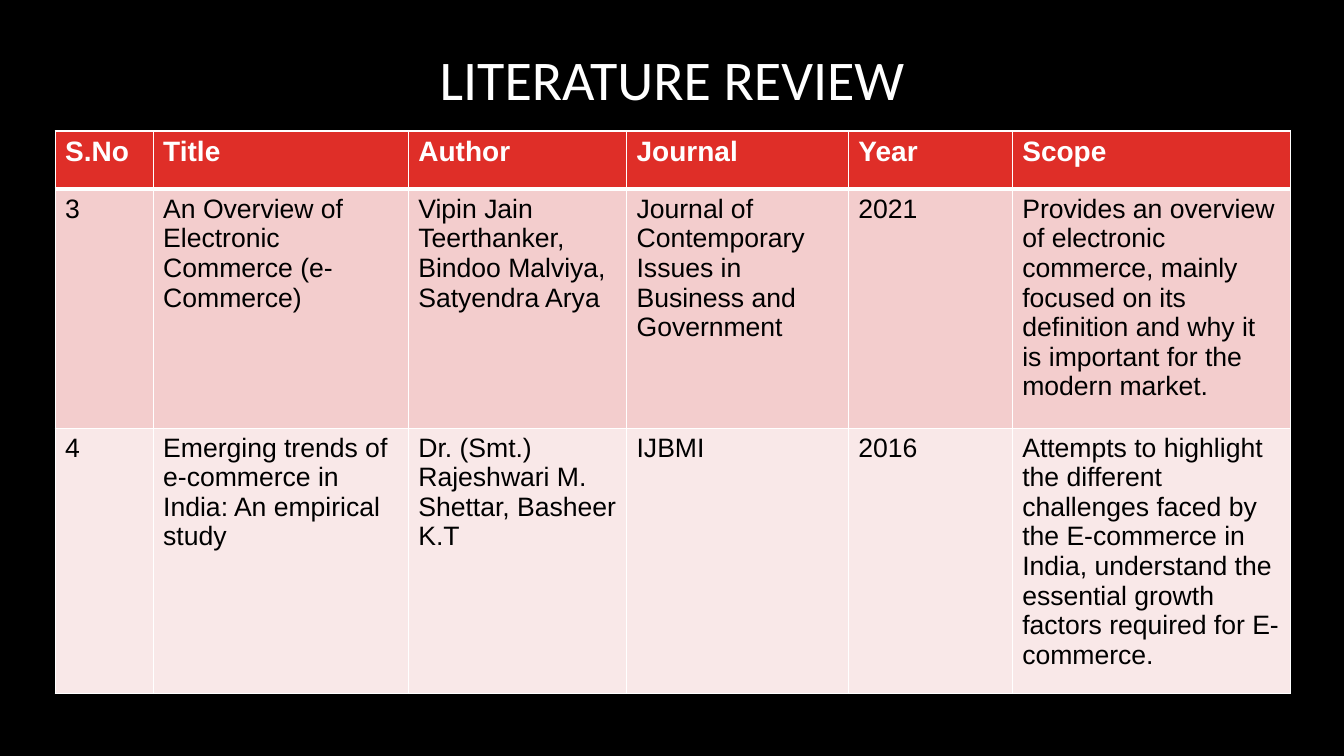
from lxml import etree
from pptx import Presentation
from pptx.dml.color import RGBColor
from pptx.enum.text import MSO_ANCHOR, PP_ALIGN
from pptx.oxml.ns import qn
from pptx.util import Cm, Pt

CENTER, LEFT = PP_ALIGN.CENTER, PP_ALIGN.LEFT
MIDDLE = MSO_ANCHOR.MIDDLE

BLACK, WHITE, RED = "000000", "FFFFFF", "DF2E28"
BAND_FILLS = ["F3CDCD", "F9E8E8"]

COLUMN_WIDTHS = [2.47, 6.43, 5.5, 5.59, 4.13, 7.01]
ROW_HEIGHTS = [1.47, 6.02, 6.43]
HEADINGS = ["S.No", "Title", "Author", "Journal", "Year", "Scope"]
# A line break inside a cell starts a new paragraph
STUDIES = [
    [
        "3",
        "An Overview of Electronic Commerce (e-Commerce)",
        "Vipin Jain\nTeerthanker, Bindoo Malviya,\nSatyendra Arya",
        "Journal of Contemporary Issues in Business and Government",
        "2021",
        "Provides an overview of electronic commerce, mainly focused on its "
        "definition and why it is important for the modern market.",
    ],
    [
        "4",
        "Emerging trends of e-commerce in India: An empirical study",
        "Dr. (Smt.) Rajeshwari M. Shettar, Basheer K.T",
        "IJBMI",
        "2016",
        "Attempts to highlight the different challenges faced by the "
        "E-commerce in India, understand the\n"
        "essential growth factors required for E-commerce.",
    ],
]


def rgb(color):
    return RGBColor.from_string(color)


def write_text(frame, text, *, size, color, font="Arial", bold=False,
               align=LEFT, line_spacing=1.0):
    frame.word_wrap = True
    for index, line in enumerate(text.split("\n")):
        paragraph = frame.add_paragraph() if index else frame.paragraphs[0]
        paragraph.alignment = align
        paragraph.line_spacing = line_spacing
        run = paragraph.add_run()
        run.text = line
        run.font.name = font
        run.font.size = Pt(size)
        run.font.bold = bold
        run.font.color.rgb = rgb(color)


def add_title(slide, text):
    title = slide.shapes.add_textbox(Cm(1.91), Cm(0.84), Cm(30.05), Cm(2.46))
    title.text_frame.vertical_anchor = MIDDLE
    write_text(title.text_frame, text, size=40, color=WHITE, font="Calibri",
               align=CENTER, line_spacing=0.9)


def set_borders(cell, color, **widths):
    properties = cell._tc.get_or_add_tcPr()
    for side in "LRTB":
        width = Pt(widths.get(side, 1))
        line = etree.SubElement(properties, qn(f"a:ln{side}"), w=str(width))
        fill = etree.SubElement(line, qn("a:solidFill"))
        etree.SubElement(fill, qn("a:srgbClr"), val=color)


def fill_row(cells, texts, fill, borders, **text_format):
    for cell, text in zip(cells, texts):
        set_borders(cell, WHITE, **borders)
        cell.fill.solid()
        cell.fill.fore_color.rgb = rgb(fill)
        write_text(cell.text_frame, text, **text_format)


def add_review_table(slide):
    review = slide.shapes.add_table(
        len(ROW_HEIGHTS), len(COLUMN_WIDTHS), Cm(1.39), Cm(3.3),
        Cm(sum(COLUMN_WIDTHS)), Cm(sum(ROW_HEIGHTS))).table
    for column, width in zip(review.columns, COLUMN_WIDTHS):
        column.width = Cm(width)
    for row, height in zip(review.rows, ROW_HEIGHTS):
        row.height = Cm(height)

    # Header row, with a thick rule under it
    header, *body = review.rows
    fill_row(header.cells, HEADINGS, RED, {"B": 3},
             size=20, color=WHITE, bold=True)

    # Studies
    rule_above = [{"T": 3}, {}]
    for row, study, fill, borders in zip(body, STUDIES, BAND_FILLS, rule_above):
        fill_row(row.cells, study, fill, borders, size=19, color=BLACK)


def main():
    deck = Presentation()
    deck.slide_width, deck.slide_height = Cm(33.87), Cm(19.05)
    slide = deck.slides.add_slide(deck.slide_layouts[6])
    slide.background.fill.solid()
    slide.background.fill.fore_color.rgb = rgb(BLACK)

    add_title(slide, "LITERATURE REVIEW")
    add_review_table(slide)
    deck.save("out.pptx")


if __name__ == "__main__":
    main()
